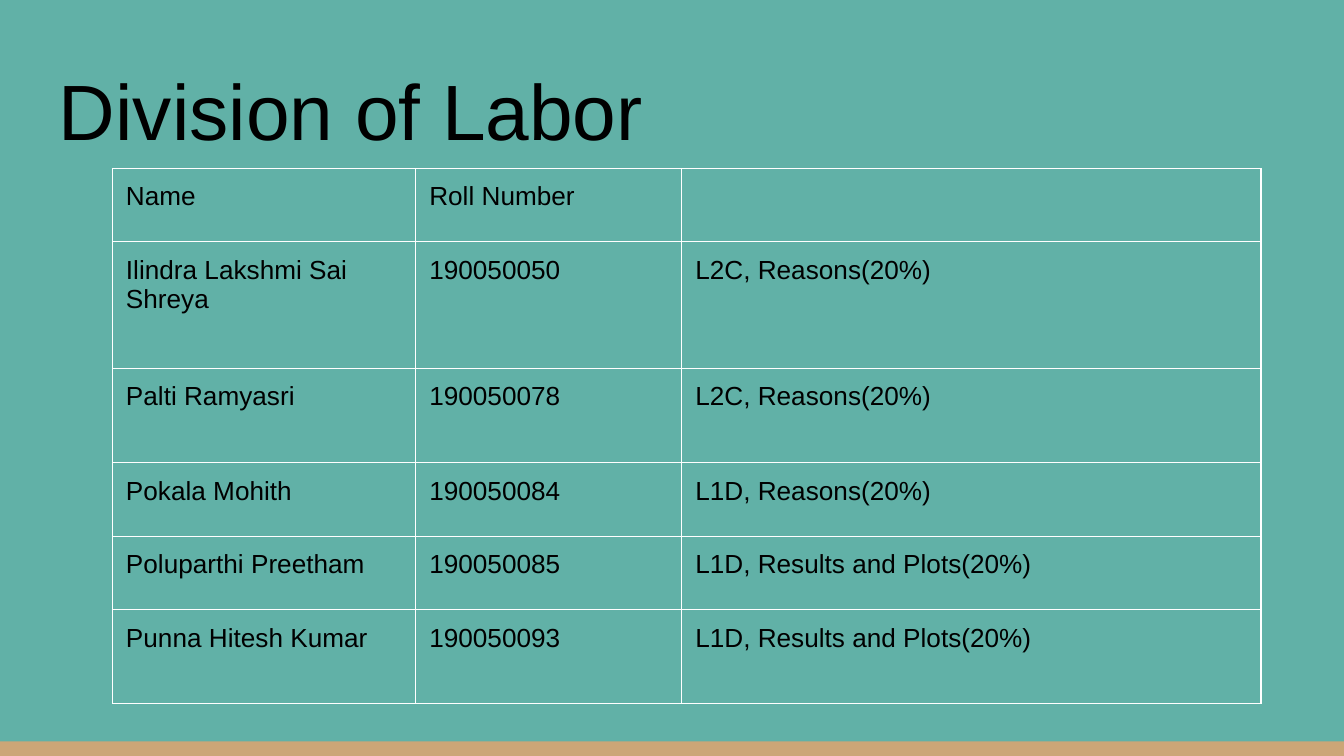
"""Build the division of labor slide."""
from lxml import etree
from pptx import Presentation
from pptx.dml.color import RGBColor
from pptx.enum.shapes import MSO_SHAPE
from pptx.enum.text import MSO_ANCHOR
from pptx.oxml.ns import qn
from pptx.util import Pt

RECTANGLE = MSO_SHAPE.RECTANGLE
BOTTOM = MSO_ANCHOR.BOTTOM
TEAL = RGBColor(0x61, 0xB1, 0xA7)
TAN = RGBColor(0xCC, 0xA6, 0x77)
BLACK = RGBColor(0, 0, 0)
WHITE = RGBColor(0xFF, 0xFF, 0xFF)

COLUMN_WIDTHS = [162.5, 142.5, 310.3]
SHORT_ROW, MEDIUM_ROW, TALL_ROW = 39.4, 50.4, 68
ROW_HEIGHTS = [SHORT_ROW, TALL_ROW, MEDIUM_ROW, SHORT_ROW, SHORT_ROW, MEDIUM_ROW]
MEMBERS = [
    ["Name", "Roll Number", ""],
    ["Ilindra Lakshmi Sai Shreya", "190050050", "L2C, Reasons(20%)"],
    ["Palti Ramyasri", "190050078", "L2C, Reasons(20%)"],
    ["Pokala Mohith", "190050084", "L1D, Reasons(20%)"],
    ["Poluparthi Preetham", "190050085", "L1D, Results and Plots(20%)"],
    ["Punna Hitesh Kumar", "190050093", "L1D, Results and Plots(20%)"],
]


class Page:
    font_name = "Arial"
    inset = Pt(7.2)
    border_width = Pt(0.75)

    def __init__(self, deck, background):
        self.slide = deck.slides.add_slide(deck.slide_layouts[6])
        fill = self.slide.background.fill
        fill.solid()
        fill.fore_color.rgb = background

    def bar(self, left, top, width, height, color):
        bar = self.slide.shapes.add_shape(
            RECTANGLE, Pt(left), Pt(top), Pt(width), Pt(height))
        bar.shadow.inherit = False
        bar.fill.solid()
        bar.fill.fore_color.rgb = color
        bar.line.fill.background()

    def set_text(self, paragraph, text, size):
        paragraph.text = text
        paragraph.font.name = self.font_name
        paragraph.font.size = Pt(size)
        paragraph.font.color.rgb = BLACK

    def pad(self, holder):
        holder.margin_left = holder.margin_right = self.inset
        holder.margin_top = holder.margin_bottom = self.inset

    def title(self, left, top, width, height, text, size):
        box = self.slide.shapes.add_textbox(Pt(left), Pt(top), Pt(width), Pt(height))
        frame = box.text_frame
        frame.word_wrap = True
        frame.vertical_anchor = BOTTOM
        self.pad(frame)
        self.set_text(frame.paragraphs[0], text, size)

    def border(self, cell):
        properties = cell._tc.get_or_add_tcPr()
        for side in ("a:lnL", "a:lnR", "a:lnT", "a:lnB"):
            line = etree.SubElement(properties, qn(side), w=str(self.border_width))
            fill = etree.SubElement(line, qn("a:solidFill"))
            etree.SubElement(fill, qn("a:srgbClr"), val=str(WHITE))

    def table(self, left, top, widths, heights, rows, size):
        table = self.slide.shapes.add_table(
            len(rows), len(widths), Pt(left), Pt(top),
            Pt(sum(widths)), Pt(sum(heights))).table
        table.first_row = table.horz_banding = False
        for column, width in zip(table.columns, widths):
            column.width = Pt(width)
        for row, height, texts in zip(table.rows, heights, rows):
            row.height = Pt(height)
            for cell, text in zip(row.cells, texts):
                self.border(cell)
                cell.fill.background()
                self.pad(cell)
                self.set_text(cell.text_frame.paragraphs[0], text, size)


def main():
    deck = Presentation()
    deck.slide_width, deck.slide_height = Pt(720), Pt(405)
    page = Page(deck, TEAL)
    page.bar(0, 397.2, 720, 7.8, TAN)
    page.title(24.5, 25.2, 671, 65.5, "Division of Labor", 42)
    page.table(60.3, 90.2, COLUMN_WIDTHS, ROW_HEIGHTS, MEMBERS, 14)
    deck.save("out.pptx")


if __name__ == "__main__":
    main()
